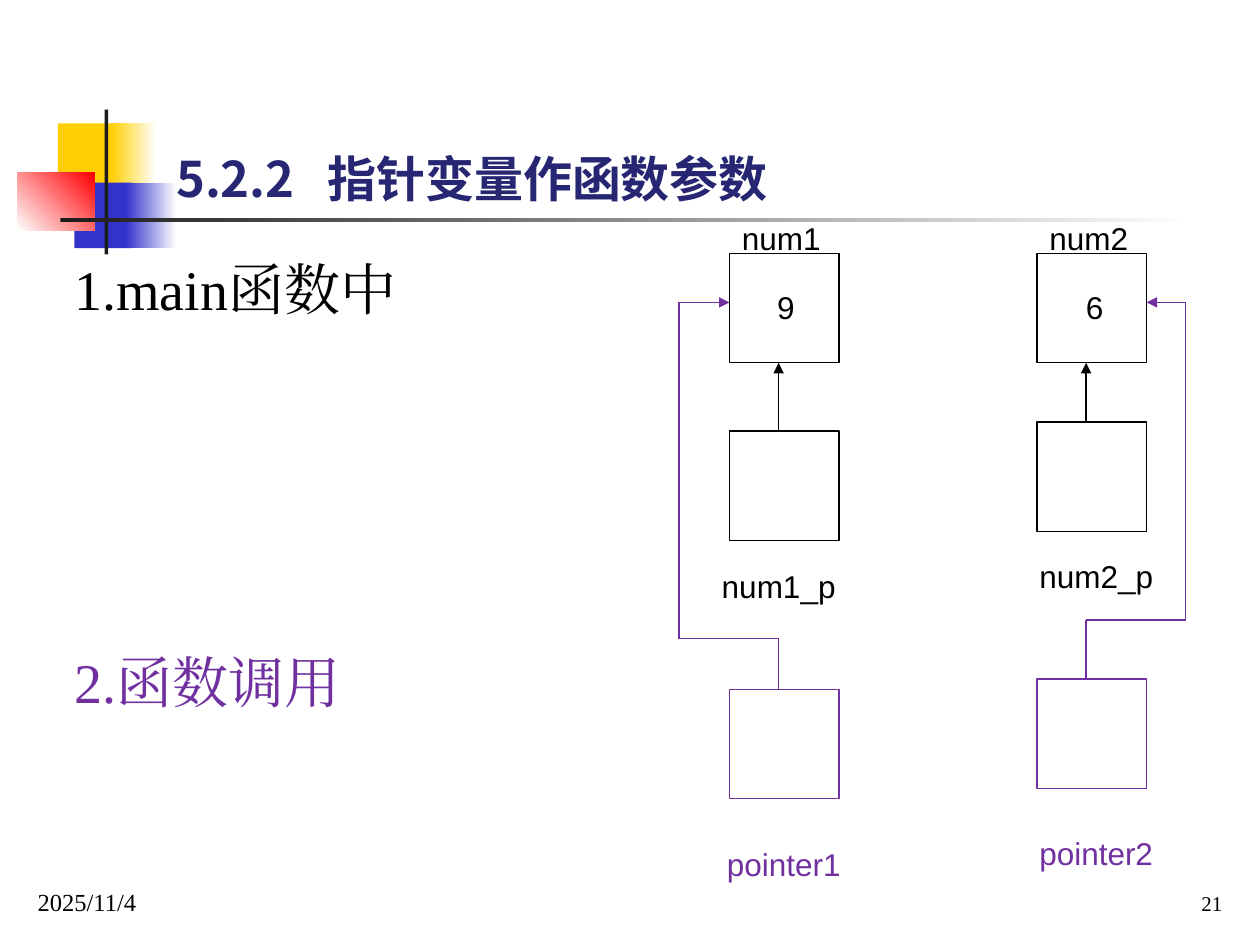
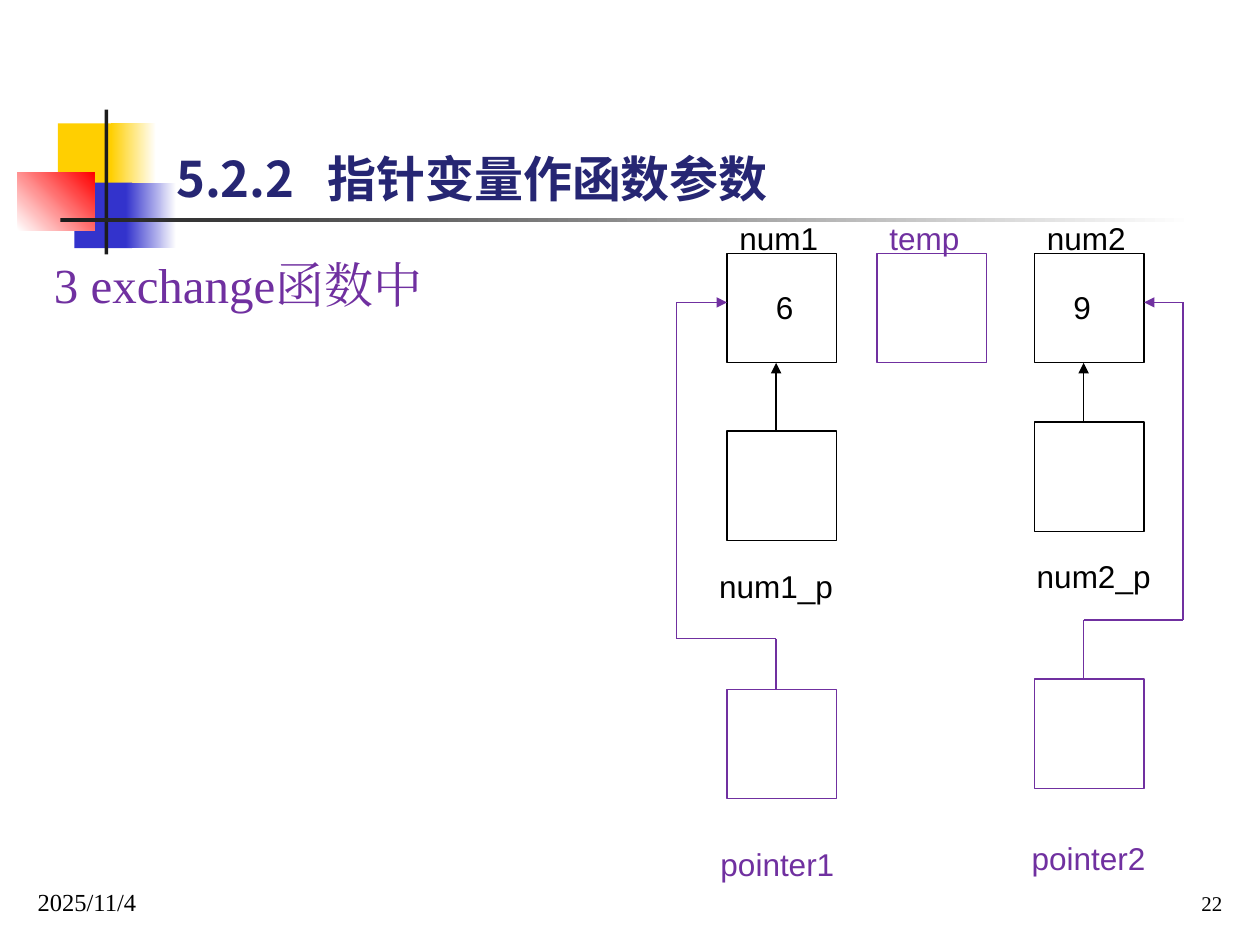
from pptx import Presentation
from pptx.dml.color import RGBColor
from pptx.enum.shapes import MSO_CONNECTOR, MSO_SHAPE
from pptx.enum.text import MSO_ANCHOR, PP_ALIGN
from pptx.oxml.ns import qn
from pptx.util import Inches, Pt
from lxml.etree import SubElement

BLACK, PURPLE, NAVY, DARK = "000000", "7030A0", "262673", "1C1C1C"
WHITE, GOLD, BLUE, RED = "FFFFFF", "FFCF01", "3333CC", "FF0000"
SERIF, SANS, CJK = "Times New Roman", "Arial", "Noto Sans CJK SC"

TITLE = ("5.2.2", "指针变量作函数参数")
DATE = "2025/11/4"
BANDS = [
    (0.46, 0.98, 0.48, 0.52, [GOLD], 0),
    (0.88, 0.98, 0.36, 0.52, [GOLD, WHITE], 0),
    (0.59, 1.45, 0.46, 0.52, [BLUE], 0),
    (1.0, 1.45, 0.4, 0.52, [BLUE, WHITE], 0),
    (0.14, 1.37, 0.61, 0.46, [WHITE, RED], 45),
    (0.83, 0.87, 0.03, 1.15, [DARK], 0),
    (0.48, 1.73, 9, 0.03, [DARK, WHITE], 0),
]
SLIDES = [
    {
        "page": "21", "left": 5.79, "body": 0.49, "size": 32,
        "steps": [("1.main函数中", BLACK, 0), ("2.函数调用", PURPLE, 186)],
        "values": [("9", 0.28), ("6", 0.29)],
        "tags": [(-0.12, 6.66), (-0.08, 6.57)],
        "temp": None,
    },
    {
        "page": "22", "left": 5.77, "body": 0.33, "size": 28,
        "steps": [("3 exchange函数中", PURPLE, 0)],
        "values": [("6", 0.29), ("9", 0.21)],
        "tags": [(-0.15, 6.66), (-0.12, 6.61)],
        "temp": "temp",
    },
]
LANES = [
    {"no": "1", "cell": 3.42, "name": 4.45, "turn": 5.07, "ptr": 5.47,
     "side": -0.4, "edge": 0, "shift": -0.16},
    {"no": "2", "cell": 3.35, "name": 4.37, "turn": 4.92, "ptr": 5.39,
     "side": 1.18, "edge": 0.87, "shift": -0.08},
]
BOX, TOP, STEP, MID, HIT = 0.87, 2.01, 2.44, 0.39, 2.4


def paint(code):
    return RGBColor.from_string(code)


def style(run, size, color, font, bold=False):
    run.font.size = Pt(size)
    run.font.name = font
    run.font.bold = bold
    run.font.color.rgb = paint(color)
    SubElement(run._r.get_or_add_rPr(), qn("a:ea"), typeface=font)


def frame(slide, x, y, w, h, wrap=True):
    text = slide.shapes.add_textbox(Inches(x), Inches(y), Inches(w), Inches(h)).text_frame
    text.word_wrap = wrap
    return text


def label(slide, words, x, y, w, color=BLACK):
    para = frame(slide, x, y, w, 0.4).paragraphs[0]
    run = para.add_run()
    run.text = words
    style(run, 18, color, SANS)


def rect(slide, x, y, w, h):
    shape = slide.shapes.add_shape(
        MSO_SHAPE.RECTANGLE, Inches(x), Inches(y), Inches(w), Inches(h))
    shape.shadow.inherit = False
    return shape


def cell(slide, x, y, color=BLACK):
    shape = rect(slide, x, y, BOX, BOX)
    shape.fill.background()
    shape.line.color.rgb = paint(color)
    shape.line.width = Pt(0.75)


def wire(slide, points, color):
    pairs = list(zip(points, points[1:]))
    for start, end in pairs:
        line = slide.shapes.add_connector(
            MSO_CONNECTOR.STRAIGHT, *(Inches(v) for v in start + end))
        line.line.color.rgb = paint(color)
        line.line.width = Pt(0.75)
        SubElement(line._element.spPr, qn("a:effectLst"))
    SubElement(line.line._get_or_add_ln(), qn("a:tailEnd"), type="triangle")


def band(slide, x, y, w, h, colors, angle):
    shape = rect(slide, x, y, w, h)
    shape.line.fill.background()
    if len(colors) == 1:
        shape.fill.solid()
        shape.fill.fore_color.rgb = paint(colors[0])
        return
    shape.fill.gradient()
    shape.fill.gradient_angle = angle
    for stop, color in zip(shape.fill.gradient_stops, colors):
        stop.color.rgb = paint(color)


def foot(slide, words, x, size, align):
    text = frame(slide, x, 6.82, 1.26, 0.5)
    text.vertical_anchor = MSO_ANCHOR.BOTTOM
    para = text.paragraphs[0]
    para.alignment = align
    run = para.add_run()
    run.text = words
    style(run, size, BLACK, SERIF)


def base(slide, page):
    for part in BANDS:
        band(slide, *part)
    para = frame(slide, 1.3, 1.18, 6.69, 0.52).paragraphs[0]
    para.line_spacing = 0.9
    tabs = SubElement(para._p.get_or_add_pPr(), qn("a:tabLst"))
    SubElement(tabs, qn("a:tab"), pos=str(Inches(1.2)), algn="l")
    run = para.add_run()
    run.text = "\t".join(TITLE)
    style(run, 28, NAVY, CJK, True)
    foot(slide, DATE, 0.2, 14, PP_ALIGN.LEFT)
    foot(slide, page, 8.54, 12, PP_ALIGN.RIGHT)


def notes(slide, data):
    text = frame(slide, data["body"], 1.97, 5, 5.3)
    for i, (words, color, gap) in enumerate(data["steps"]):
        para = text.add_paragraph() if i else text.paragraphs[0]
        if gap:
            para.space_before = Pt(gap)
        run = para.add_run()
        run.text = words
        style(run, data["size"], color, SERIF)


def chain(slide, x, lane, value, tag):
    no, mid, side = lane["no"], x + MID, x + lane["side"]
    cell(slide, x, TOP)
    cell(slide, x, lane["cell"])
    cell(slide, x, lane["ptr"], PURPLE)
    label(slide, "num" + no, x, 1.69, BOX)
    label(slide, value[0], x + value[1], 2.24, 0.5)
    label(slide, f"num{no}_p", x + lane["shift"], lane["name"], 1.1)
    label(slide, "pointer" + no, x + tag[0], tag[1], 1.2, PURPLE)
    wire(slide, [(mid, lane["cell"]), (mid, TOP + BOX)], BLACK)
    wire(slide, [(mid, lane["ptr"]), (mid, lane["turn"]), (side, lane["turn"]),
                 (side, HIT), (x + lane["edge"], HIT)], PURPLE)


def main():
    deck = Presentation()
    deck.slide_width, deck.slide_height = Inches(10), Inches(7.5)
    for data in SLIDES:
        slide = deck.slides.add_slide(deck.slide_layouts[6])
        base(slide, data["page"])
        notes(slide, data)
        for i, lane in enumerate(LANES):
            chain(slide, data["left"] + i * STEP, lane, data["values"][i], data["tags"][i])
        if data["temp"]:
            x = data["left"] + 1.19
            cell(slide, x, TOP, PURPLE)
            label(slide, data["temp"], x, 1.69, BOX, PURPLE)
    deck.save("out.pptx")


if __name__ == "__main__":
    main()
